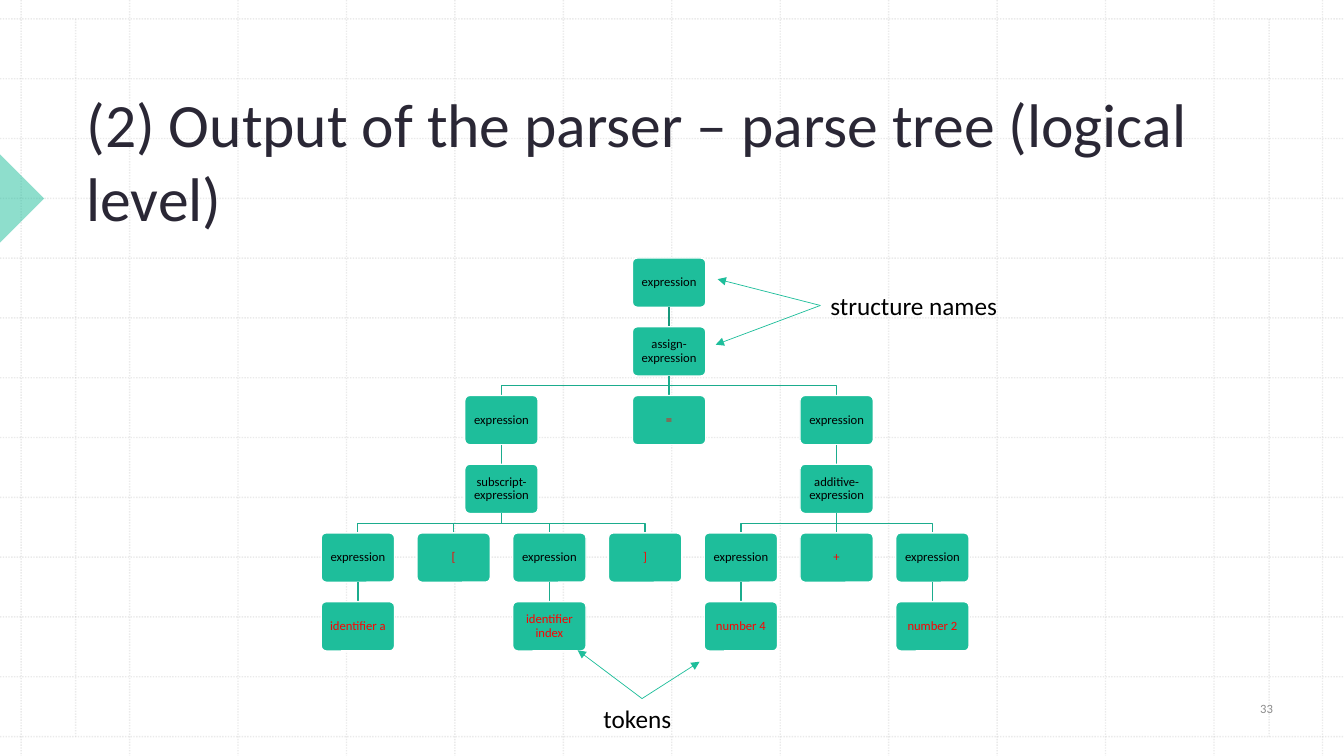
from dataclasses import dataclass

from lxml.etree import SubElement
from pptx import Presentation
from pptx.dml.color import RGBColor
from pptx.enum.dml import MSO_LINE_DASH_STYLE as Dash
from pptx.enum.shapes import MSO_CONNECTOR as Connector, MSO_SHAPE as Preset
from pptx.enum.text import MSO_ANCHOR as Anchor, PP_ALIGN as Align
from pptx.oxml.ns import qn
from pptx.util import Pt

COLORS = {
    "grid": "BCBCBC",
    "accent": "1EBE9B",
    "edge": "1BAC8D",
    "root_edge": "18987C",
    "white": "FFFFFF",
    "black": "000000",
    "title": "2A2735",
    "token": "FF0000",
    "number": "8C8C8C",
}
FONT = "Calibri"
WIDTH, HEIGHT = 960, 540
FIRST_CENTER, COLUMN_STEP = 255.6, 68.4
FIRST_TOP, ROW_STEP = 184.3, 49.1
NODE_WIDTH, NODE_HEIGHT = 52.4, 35.2


@dataclass(frozen=True)
class Node:
    label: str
    column: float
    children: tuple["Node", ...] = ()


@dataclass(frozen=True)
class Label:
    text: str
    left: float
    top: float
    width: float
    height: float
    size: float
    color: str
    anchor: Anchor = Anchor.TOP
    align: Align = Align.LEFT


@dataclass(frozen=True)
class Callout:
    """One point from which arrows run to several targets."""
    start: tuple[float, float]
    targets: tuple[tuple[float, float], ...]


def expression(column: float, child: str) -> Node:
    return Node("expression", column, (Node(child, column),))


SUBSCRIPT = Node("subscript-expression", 1.5, (
    expression(0, "identifier a"),
    Node("[", 1),
    expression(2, "identifier index"),
    Node("]", 3),
))
ADDITIVE = Node("additive-expression", 5, (
    expression(4, "number 4"),
    Node("+", 5),
    expression(6, "number 2"),
))
PARSE_TREE = Node("expression", 3.25, (
    Node("assign-expression", 3.25, (
        Node("expression", 1.5, (SUBSCRIPT,)),
        Node("=", 3.25),
        Node("expression", 5, (ADDITIVE,)),
    )),
))

LABELS = (
    Label("(2) Output of the parser – parse tree (logical level)",
          54.7, 56.9, 812.9, 113.8, 44, "title", Anchor.BOTTOM),
    Label("33", 866.2, 489.6, 77, 33.1, 9, "number", Anchor.MIDDLE, Align.CENTER),
    Label("structure names", 586, 203.8, 149, 29, 18, "black"),
    Label("tokens", 424, 499, 69, 29, 18, "black"),
)
CALLOUTS = (
    Callout((586, 218.2), ((512.6, 199.4), (511.2, 246.2))),
    Callout((458.6, 499), ((412.6, 464.4), (499.7, 472.7))),
)


def rgb(name: str) -> RGBColor:
    return RGBColor.from_string(COLORS[name])


def set_opacity(shape, percent: int) -> None:
    for color in shape._element.spPr.iter(qn("a:srgbClr")):
        SubElement(color, qn("a:alpha"), val=str(percent * 1000))


def add_line(page, start: tuple[float, float], end: tuple[float, float],
             color: str, weight: float):
    line = page.shapes.add_connector(
        Connector.STRAIGHT, *(Pt(value) for value in (*start, *end)))
    line.line.color.rgb = rgb(color)
    line.line.width = Pt(weight)
    SubElement(line._element.spPr, qn("a:effectLst"))
    return line


def write(shape, text: str, size: float, color: str, anchor: Anchor, align: Align) -> None:
    frame = shape.text_frame
    frame.word_wrap = True
    frame.vertical_anchor = anchor
    frame.text = text
    para = frame.paragraphs[0]
    para.alignment = align
    span = para.runs[0]
    span.font.name = FONT
    span.font.size = Pt(size)
    span.font.color.rgb = rgb(color)


def draw_grid(page) -> None:
    columns = [15.1 + 77.46 * index for index in range(13)]
    rows = [13.5 + 42.72 * index for index in range(13)]
    segments = [((x, 0), (x, HEIGHT)) for x in columns]
    segments += [((0, y), (WIDTH, y)) for y in rows]
    segments += [((x, rows[0]), (x, rows[-1])) for x in (54, 906.5)]
    for start, end in segments:
        line = add_line(page, start, end, "grid", 1)
        line.line.dash_style = Dash.ROUND_DOT
        set_opacity(line, 30)


def draw_marker(page) -> None:
    """Draw the half-visible triangle at the left margin."""
    marker = page.shapes.add_shape(
        Preset.RIGHT_TRIANGLE, Pt(-22.3), Pt(119.5), Pt(44.6), Pt(44.6))
    marker.rotation = 225
    marker.shadow.inherit = False
    marker.fill.solid()
    marker.fill.fore_color.rgb = rgb("accent")
    marker.line.fill.background()
    set_opacity(marker, 50)


def draw_edge(page, x: float, child_x: float, child_top: float, color: str) -> None:
    top = child_top - ROW_STEP + NODE_HEIGHT
    if x == child_x:
        add_line(page, (x, top), (x, child_top), color, 1)
        return
    middle = (top + child_top) / 2
    builder = page.shapes.build_freeform(Pt(x), Pt(top))
    corners = ((x, middle), (child_x, middle), (child_x, child_top))
    builder.add_line_segments([(Pt(a), Pt(b)) for a, b in corners], close=False)
    edge = builder.convert_to_shape()
    edge.shadow.inherit = False
    edge.fill.background()
    edge.line.color.rgb = rgb(color)
    edge.line.width = Pt(1)


def draw_tree(page, node: Node, depth: int = 0) -> None:
    center = FIRST_CENTER + COLUMN_STEP * node.column
    top = FIRST_TOP + ROW_STEP * depth
    box = page.shapes.add_shape(
        Preset.ROUNDED_RECTANGLE, Pt(center - NODE_WIDTH / 2), Pt(top),
        Pt(NODE_WIDTH), Pt(NODE_HEIGHT))
    box.adjustments[0] = 0.1
    box.shadow.inherit = False
    box.fill.solid()
    box.fill.fore_color.rgb = rgb("accent")
    box.line.color.rgb = rgb("white")
    box.line.width = Pt(1)
    frame = box.text_frame
    frame.margin_left = frame.margin_right = Pt(3.5)
    frame.margin_top = frame.margin_bottom = Pt(3.5)
    write(box, node.label, 9, "black" if node.children else "token",
          Anchor.MIDDLE, Align.CENTER)
    frame.paragraphs[0].line_spacing = 0.9
    for child in node.children:
        draw_edge(page, center, FIRST_CENTER + COLUMN_STEP * child.column,
                  top + ROW_STEP, "edge" if depth else "root_edge")
        draw_tree(page, child, depth + 1)


def draw_label(page, label: Label) -> None:
    box = page.shapes.add_textbox(
        Pt(label.left), Pt(label.top), Pt(label.width), Pt(label.height))
    write(box, label.text, label.size, label.color, label.anchor, label.align)


def draw_callout(page, callout: Callout) -> None:
    for target in callout.targets:
        arrow = add_line(page, callout.start, target, "accent", 0.5)
        SubElement(arrow.line._get_or_add_ln(), qn("a:tailEnd"), type="triangle")


def main() -> None:
    deck = Presentation()
    deck.slide_width, deck.slide_height = Pt(WIDTH), Pt(HEIGHT)
    page = deck.slides.add_slide(deck.slide_layouts[6])
    draw_grid(page)
    draw_marker(page)
    draw_tree(page, PARSE_TREE)
    for label in LABELS:
        draw_label(page, label)
    for callout in CALLOUTS:
        draw_callout(page, callout)
    deck.save("out.pptx")


if __name__ == "__main__":
    main()
